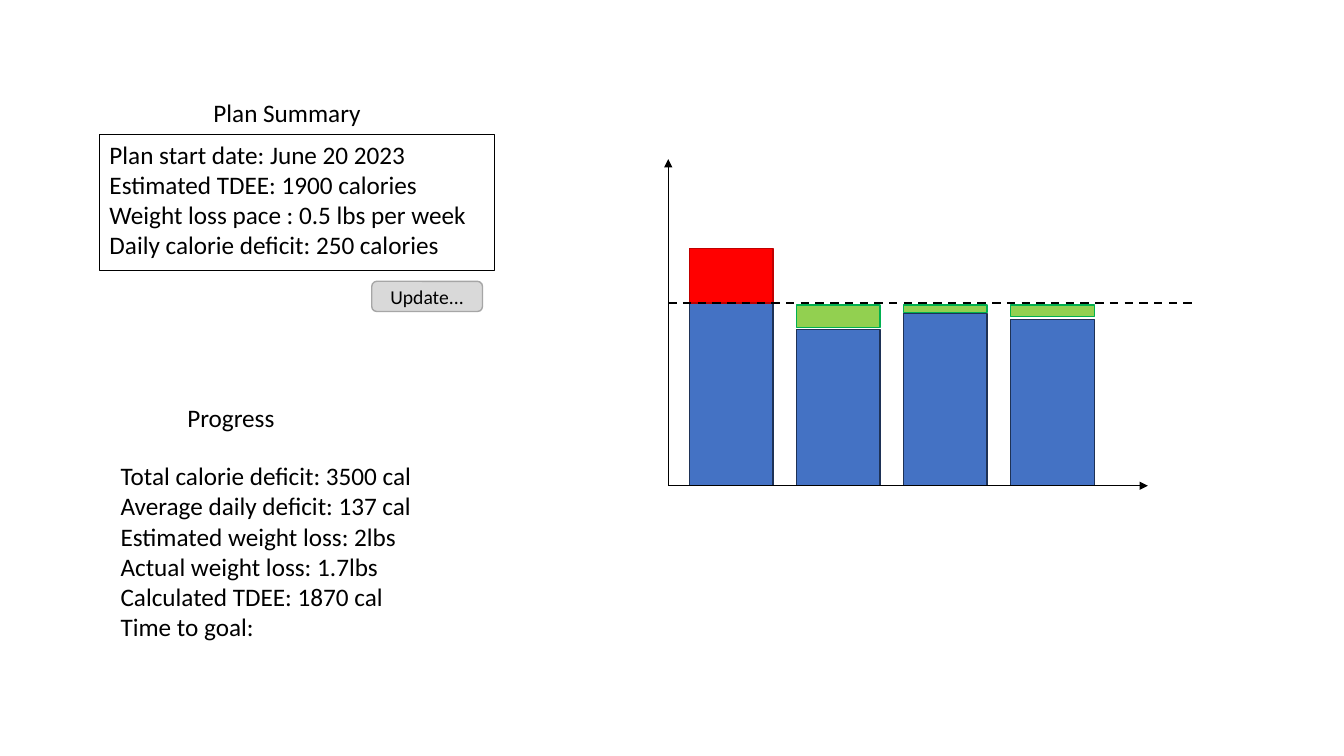
import pptx
import pptx.util
import pptx.dml.color
import pptx.enum.dml
import pptx.enum.shapes
import pptx.enum.text
import pptx.oxml.ns
import lxml.etree

Cm = pptx.util.Cm
Pt = pptx.util.Pt
RGBColor = pptx.dml.color.RGBColor
Shape = pptx.enum.shapes.MSO_SHAPE
Align = pptx.enum.text.PP_ALIGN
Anchor = pptx.enum.text.MSO_ANCHOR
qn = pptx.oxml.ns.qn

BLACK = RGBColor(0x00, 0x00, 0x00)
GREY = RGBColor(0xD9, 0xD9, 0xD9)
SILVER = RGBColor(0xA6, 0xA6, 0xA6)
BLUE = RGBColor(0x44, 0x72, 0xC4)
NAVY = RGBColor(0x1E, 0x32, 0x56)
RED = RGBColor(0xFF, 0x00, 0x00)
MAROON = RGBColor(0xC0, 0x00, 0x00)
LIME = RGBColor(0x92, 0xD0, 0x50)
GREEN = RGBColor(0x00, 0xB0, 0x50)


def write(shape, lines, size=18, align=Align.LEFT, anchor=Anchor.TOP):
    frame = shape.text_frame
    frame.word_wrap = True
    frame.vertical_anchor = anchor
    frame.text = "\n".join(lines)
    for para in frame.paragraphs:
        para.alignment = align
        para.font.name = "Calibri"
        para.font.size = Pt(size)
        para.font.color.rgb = BLACK


def label(slide, left, top, width, height, lines, align=Align.LEFT):
    box = slide.shapes.add_textbox(Cm(left), Cm(top), Cm(width), Cm(height))
    write(box, lines, align=align)


def block(slide, left, top, width, height, fill, edge, weight=1, kind=Shape.RECTANGLE):
    shape = slide.shapes.add_shape(kind, Cm(left), Cm(top), Cm(width), Cm(height))
    shape.shadow.inherit = False
    if fill is None:
        shape.fill.background()
    else:
        shape.fill.solid()
        shape.fill.fore_color.rgb = fill
    shape.line.color.rgb = edge
    shape.line.width = Pt(weight)
    return shape


def rule(slide, left, top, right, bottom, weight, arrow=False):
    line = slide.shapes.add_connector(
        pptx.enum.shapes.MSO_CONNECTOR.STRAIGHT, Cm(left), Cm(top), Cm(right), Cm(bottom))
    line.line.color.rgb = BLACK
    line.line.width = Pt(weight)
    props = line._element.spPr
    lxml.etree.SubElement(props, qn("a:effectLst"))
    if arrow:
        lxml.etree.SubElement(props.find(qn("a:ln")), qn("a:tailEnd"), type="triangle")
    return line


def plan(slide, left, top, width):
    card = block(slide, left, top + 1.04, width, 3.43, None, BLACK, 0.75)
    write(card, [
        "Plan start date: June 20 2023",
        "Estimated TDEE: 1900 calories",
        "Weight loss pace : 0.5 lbs per week",
        "Daily calorie deficit: 250 calories",
    ])
    label(slide, left + 2.62, top, 4.7, 1.04, ["Plan Summary"])
    button = block(slide, left + width - 3.1, top + 4.75, 2.79, 0.76,
                   GREY, SILVER, kind=Shape.ROUNDED_RECTANGLE)
    write(button, ["Update..."], 14, Align.CENTER, Anchor.MIDDLE)


def progress(slide, left, top, width):
    label(slide, left + 1.48, top, 3.1, 1.02, ["Progress"], Align.CENTER)
    label(slide, left, top + 1.47, width, 4.88, [
        "Total calorie deficit: 3500 cal",
        "Average daily deficit: 137 cal",
        "Estimated weight loss: 2lbs",
        "Actual weight loss: 1.7lbs",
        "Calculated TDEE: 1870 cal",
        "Time to goal:",
    ])


def intake(slide, left, top, width, height):
    base = top + height
    goal = base - 4.6
    over, under = (RED, MAROON), (LIME, GREEN)
    days = [
        (4.6, goal - 1.37, 1.37, over),
        (3.94, goal + 0.05, 0.56, under),
        (4.34, goal + 0.05, 0.18, under),
        (4.19, goal + 0.05, 0.28, under),
    ]
    for i, (eaten, start, gap, tints) in enumerate(days):
        x = left + 0.53 + 2.7 * i
        block(slide, x, base - eaten, 2.11, eaten, BLUE, NAVY)
        block(slide, x, start, 2.11, gap, *tints)
    rule(slide, left, base, left, top, 0.5, True)
    rule(slide, left, base, left + width - 1.12, base, 0.5, True)
    target = rule(slide, left, goal, left + width, goal, 1.5)
    target.line.dash_style = pptx.enum.dml.MSO_LINE.DASH


deck = pptx.Presentation()
deck.slide_width = Cm(33.87)
deck.slide_height = Cm(19.05)
slide = deck.slides.add_slide(deck.slide_layouts[6])
plan(slide, 2.51, 2.34, 9.96)
progress(slide, 2.79, 10.01, 10.57)
intake(slide, 16.84, 4.01, 13.21, 8.23)
deck.save("out.pptx")
